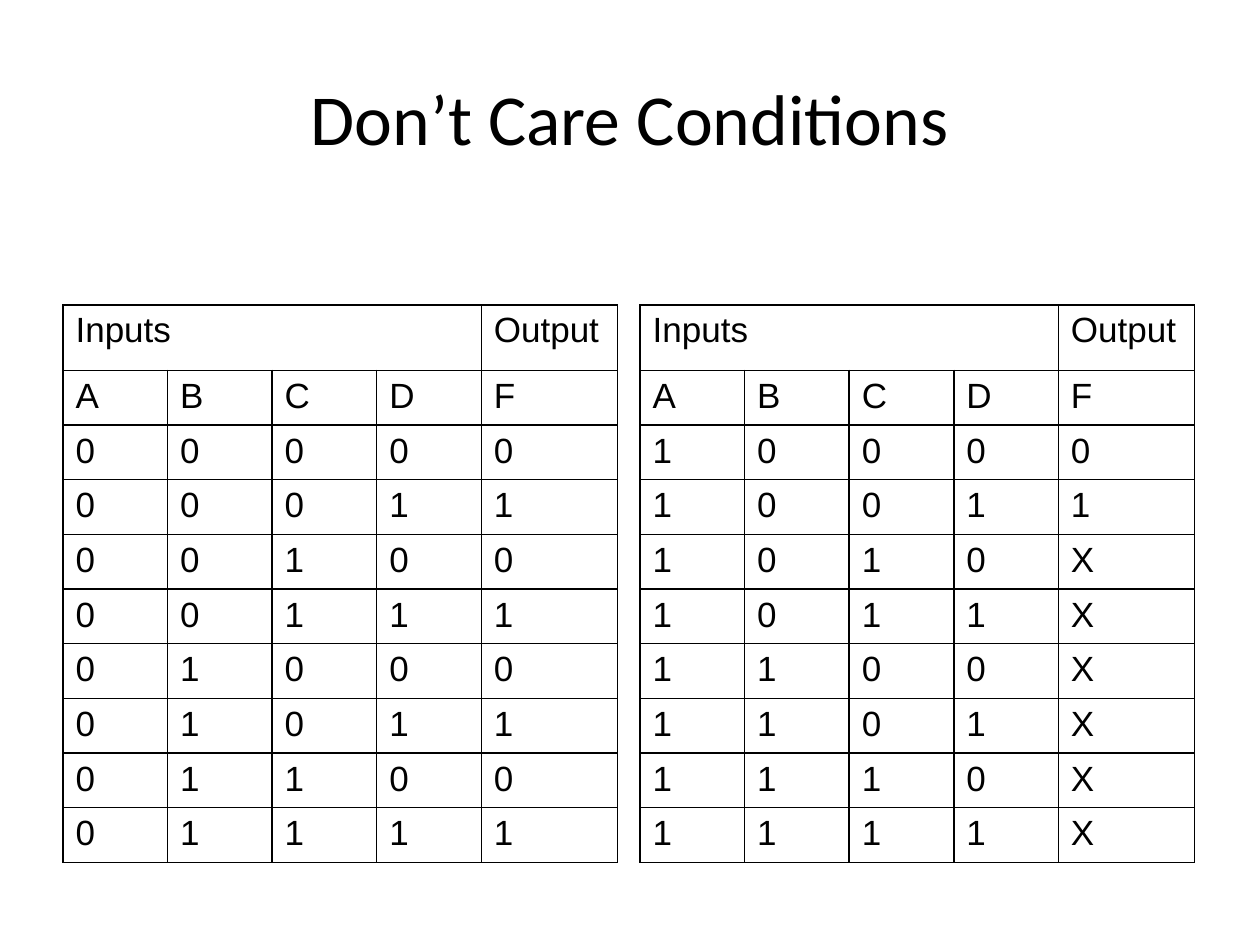
from dataclasses import dataclass

import pptx
import pptx.dml.color
import pptx.enum.text
import pptx.oxml
import pptx.oxml.ns
import pptx.slide
import pptx.table
import pptx.util
from pptx.util import Inches

COLORS = {"ink": "000000"}
VARIABLES = "ABCD"
COL_WIDTHS = [0.83] * len(VARIABLES) + [1.08]
HEADER_HEIGHT = 0.52
ROW_HEIGHT = 0.43
TABLE_TOP = 2.42


@dataclass
class TruthTable:
    left: float
    first_minterm: int
    outputs: str
    hanging: float

    def rows(self) -> list[list[str]]:
        """Give the variable names, then one row of input bits and output per minterm."""
        minterms = [
            list(f"{number:04b}") + [output]
            for number, output in enumerate(self.outputs, self.first_minterm)
        ]
        return [list(VARIABLES) + ["F"]] + minterms


TABLES = [
    TruthTable(left=0.5, first_minterm=0, outputs="01010101", hanging=0.38),
    TruthTable(left=5.08, first_minterm=8, outputs="01XXXXXX", hanging=0),
]


def format_run(r, size: float, font: str) -> None:
    r.font.size = pptx.util.Pt(size)
    r.font.name = font
    r.font.color.rgb = pptx.dml.color.RGBColor.from_string(COLORS["ink"])


def add_borders(cell: pptx.table._Cell) -> None:
    tc_pr = cell._tc.get_or_add_tcPr()
    for side in ("lnL", "lnR", "lnT", "lnB"):
        tc_pr.append(pptx.oxml.parse_xml(
            f'<a:{side} {pptx.oxml.ns.nsdecls("a")} w="{pptx.util.Pt(1)}">'
            f'<a:solidFill><a:srgbClr val="{COLORS["ink"]}"/></a:solidFill></a:{side}>'
        ))


def fill_cell(cell: pptx.table._Cell, text: str, hanging: float) -> None:
    p = cell.text_frame.paragraphs[0]
    p.text = text
    p.alignment = pptx.enum.text.PP_ALIGN.JUSTIFY
    if hanging:
        p_pr = p._p.get_or_add_pPr()
        p_pr.set("marL", str(Inches(hanging)))
        p_pr.set("indent", str(-Inches(hanging)))
    for r in p.runs:
        format_run(r, 20, "Arial")


def add_truth_table(slide: pptx.slide.Slide, truth: TruthTable) -> None:
    rows = [["Inputs", "", "", "", "Output"]] + truth.rows()
    heights = [HEADER_HEIGHT] + [ROW_HEIGHT] * (len(rows) - 1)
    table = slide.shapes.add_table(
        len(rows), len(COL_WIDTHS), Inches(truth.left), Inches(TABLE_TOP),
        Inches(sum(COL_WIDTHS)), Inches(sum(heights)),
    ).table
    table.first_row = False
    table.horz_banding = False
    for column, width in zip(table.columns, COL_WIDTHS):
        column.width = Inches(width)
    for row, height, texts in zip(table.rows, heights, rows):
        row.height = Inches(height)
        for cell, text in zip(row.cells, texts):
            add_borders(cell)
            cell.fill.background()
            fill_cell(cell, text, truth.hanging)
    table.cell(0, 0).merge(table.cell(0, len(VARIABLES) - 1))


def add_title(slide: pptx.slide.Slide, text: str) -> None:
    sp = slide.shapes.add_textbox(Inches(0.5), Inches(0.3), Inches(9), Inches(1.25))
    tf = sp.text_frame
    tf.word_wrap = True
    tf.vertical_anchor = pptx.enum.text.MSO_ANCHOR.MIDDLE
    tf.text = text
    p = tf.paragraphs[0]
    p.alignment = pptx.enum.text.PP_ALIGN.CENTER
    format_run(p.runs[0], 41, "Calibri")


def main() -> None:
    prs = pptx.Presentation()
    prs.slide_width = Inches(10)
    prs.slide_height = Inches(7.5)
    slide = prs.slides.add_slide(prs.slide_layouts[6])
    add_title(slide, "Don’t Care Conditions")
    for truth in TABLES:
        add_truth_table(slide, truth)
    prs.save("out.pptx")


if __name__ == "__main__":
    main()
